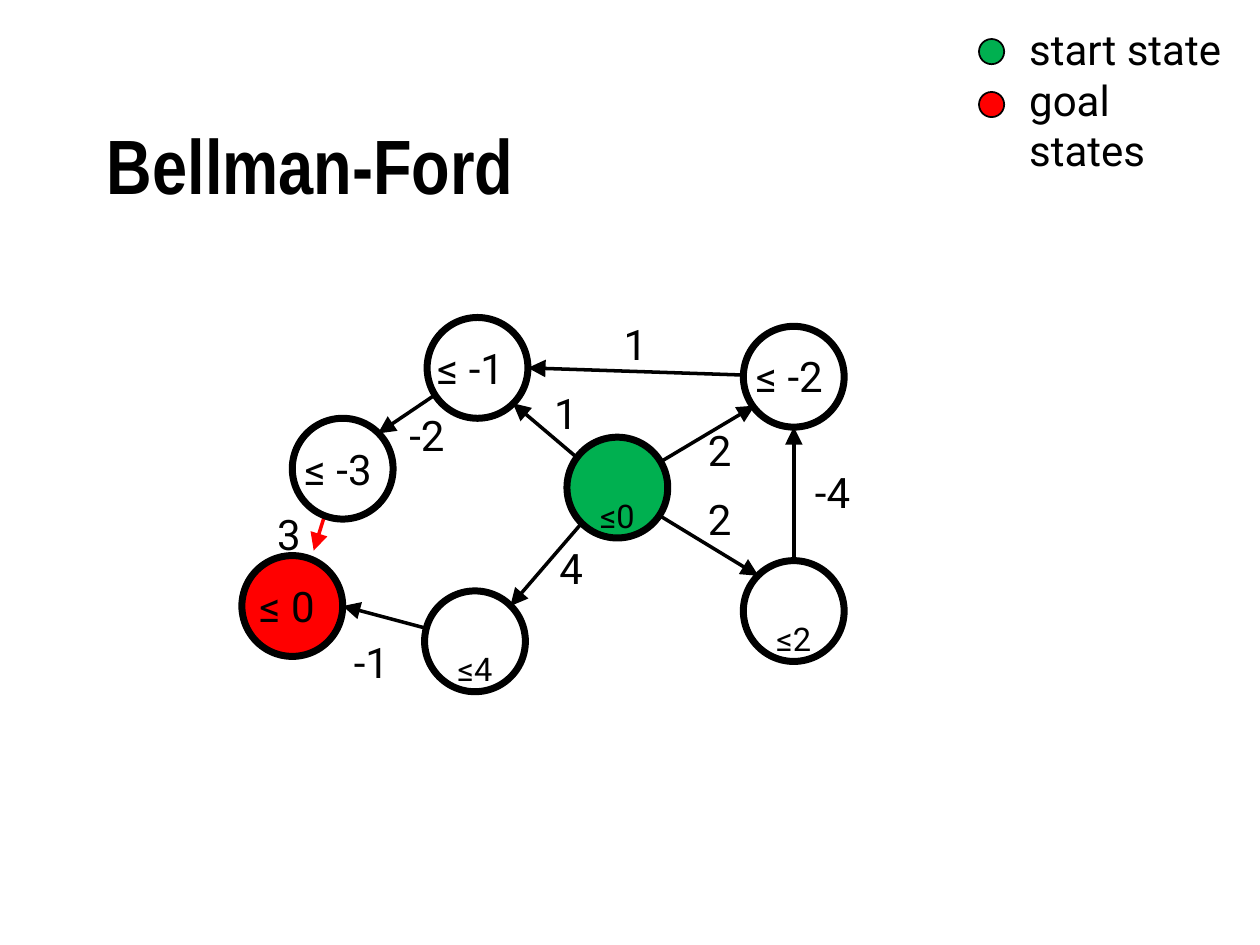
from lxml.etree import SubElement
from pptx import Presentation
from pptx.dml.color import RGBColor
from pptx.enum.shapes import MSO_CONNECTOR as Connector, MSO_SHAPE as Shape
from pptx.enum.text import MSO_ANCHOR as Anchor, MSO_AUTO_SIZE as AutoSize, PP_ALIGN as Align
from pptx.oxml.ns import qn
from pptx.util import Inches, Pt

BLACK = RGBColor(0x00, 0x00, 0x00)
WHITE = RGBColor(0xFF, 0xFF, 0xFF)
GREEN = RGBColor(0x00, 0xB0, 0x50)
RED = RGBColor(0xFF, 0x00, 0x00)

NODE_SIZE = 0.8
LABEL_HEIGHT = 0.5

# Positions are inches from the top left corner of the graph's box.
# Edges: start, end (at the arrowhead), colour
EDGES = [
    ((4.4, 2.45), (4.4, 0.99), BLACK),
    ((0.82, 1.23), (0.59, 1.97), RED),
    ((1.87, 0.52), (1.1, 1.04), BLACK),
    ((4.4, 0.59), (2.29, 0.52), BLACK),
    ((3, 1.47), (4.09, 0.82), BLACK),
    ((1.87, 2.69), (0.82, 2.41), BLACK),
    ((2.97, 1.47), (4.12, 2.17), BLACK),
    ((2.96, 1.47), (2.17, 0.8), BLACK),
    ((2.96, 1.47), (2.15, 2.41), BLACK),
]
# Nodes: left, top, fill, lowered text
NODES = [
    (2.6, 1.07, GREEN, "≤0"),
    (1.49, 0.12, WHITE, ""),
    (1.47, 2.29, WHITE, "≤4"),
    (0.42, 0.92, WHITE, ""),
    (0.02, 2.01, RED, ""),
    (4, 0.19, WHITE, ""),
    (4, 2.05, WHITE, "≤2"),
]
# Edge weights and node bounds: left, top, width, text
LABELS = [
    (3.62, 1.47, 0.39, "2"),
    (1.25, 0.8, 0.5, "-2"),
    (2.4, 0.63, 0.39, "1"),
    (3.62, 0.92, 0.39, "2"),
    (2.95, 0.08, 0.39, "1"),
    (2.44, 1.86, 0.39, "4"),
    (0.2, 1.59, 0.39, "3"),
    (4.47, 1.25, 0.5, "-4"),
    (0.81, 2.6, 0.5, "-1"),
    (0.42, 1.07, 0.78, "≤ -3"),
    (0.06, 2.16, 0.67, "≤ 0"),
    (4, 0.33, 0.78, "≤ -2"),
    (1.47, 0.27, 0.78, "≤ -1"),
]


def add_run(paragraph, text, size, font="Roboto", bold=False):
    run = paragraph.add_run()
    run.text = text
    run.font.name = font
    run.font.size = Pt(size)
    run.font.bold = bold
    run.font.color.rgb = BLACK
    return run


def add_text(slide, left, top, width, height, lines, wrap=False):
    box = slide.shapes.add_textbox(Inches(left), Inches(top), Inches(width), Inches(height))
    frame = box.text_frame
    frame.word_wrap = wrap
    frame.auto_size = AutoSize.SHAPE_TO_FIT_TEXT
    for index, line in enumerate(lines):
        paragraph = frame.add_paragraph() if index else frame.paragraphs[0]
        add_run(paragraph, line, 24)


def add_circle(slide, left, top, size, fill, line_width):
    circle = slide.shapes.add_shape(
        Shape.OVAL, Inches(left), Inches(top), Inches(size), Inches(size))
    circle.shadow.inherit = False
    circle.fill.solid()
    circle.fill.fore_color.rgb = fill
    circle.line.color.rgb = BLACK
    circle.line.width = Pt(line_width)
    return circle


def add_arrow(slide, start, end, color):
    arrow = slide.shapes.add_connector(
        Connector.STRAIGHT, *(Inches(value) for value in (*start, *end)))
    arrow.line.color.rgb = color
    arrow.line.width = Pt(2)
    SubElement(arrow.line._get_or_add_ln(), qn("a:tailEnd"),
               type="triangle", w="lg", len="lg")
    SubElement(arrow._element.spPr, qn("a:effectLst"))


def add_title(slide, left, top, width, height):
    box = slide.shapes.add_textbox(Inches(left), Inches(top), Inches(width), Inches(height))
    frame = box.text_frame
    frame.word_wrap = True
    frame.vertical_anchor = Anchor.MIDDLE
    add_run(frame.paragraphs[0], "Bellman-Ford", 44, "Arial Narrow", True)


def add_graph(slide, left, top):
    # Edges lie behind the nodes
    for (x1, y1), (x2, y2), color in EDGES:
        add_arrow(slide, (left + x1, top + y1), (left + x2, top + y2), color)

    # Nodes
    for x, y, fill, text in NODES:
        node = add_circle(slide, left + x, top + y, NODE_SIZE, fill, 4)
        if text:
            node.text_frame.vertical_anchor = Anchor.TOP
            paragraph = node.text_frame.paragraphs[0]
            paragraph.alignment = Align.CENTER
            run = add_run(paragraph, text, 32)
            run.font._element.set("baseline", "-25000")

    # Weights and bounds
    for x, y, width, text in LABELS:
        add_text(slide, left + x, top + y, width, LABEL_HEIGHT, [text])


def add_legend(slide, left, top, width, height):
    add_text(slide, left + 0.3, top, width - 0.3, height,
             ["start state", "goal states"], wrap=True)
    for index, color in enumerate((GREEN, RED)):
        add_circle(slide, left, top + 0.17 + 0.42 * index, 0.2, color, 1)


def main():
    presentation = Presentation()
    presentation.slide_width = Inches(10)
    presentation.slide_height = Inches(7.5)
    slide = presentation.slides.add_slide(presentation.slide_layouts[6])
    add_title(slide, 0.75, 0.67, 8.5, 1.25)
    add_graph(slide, 1.9, 2.4)
    add_legend(slide, 7.77, 0.14, 2.13, 0.91)
    presentation.save("out.pptx")


if __name__ == "__main__":
    main()
